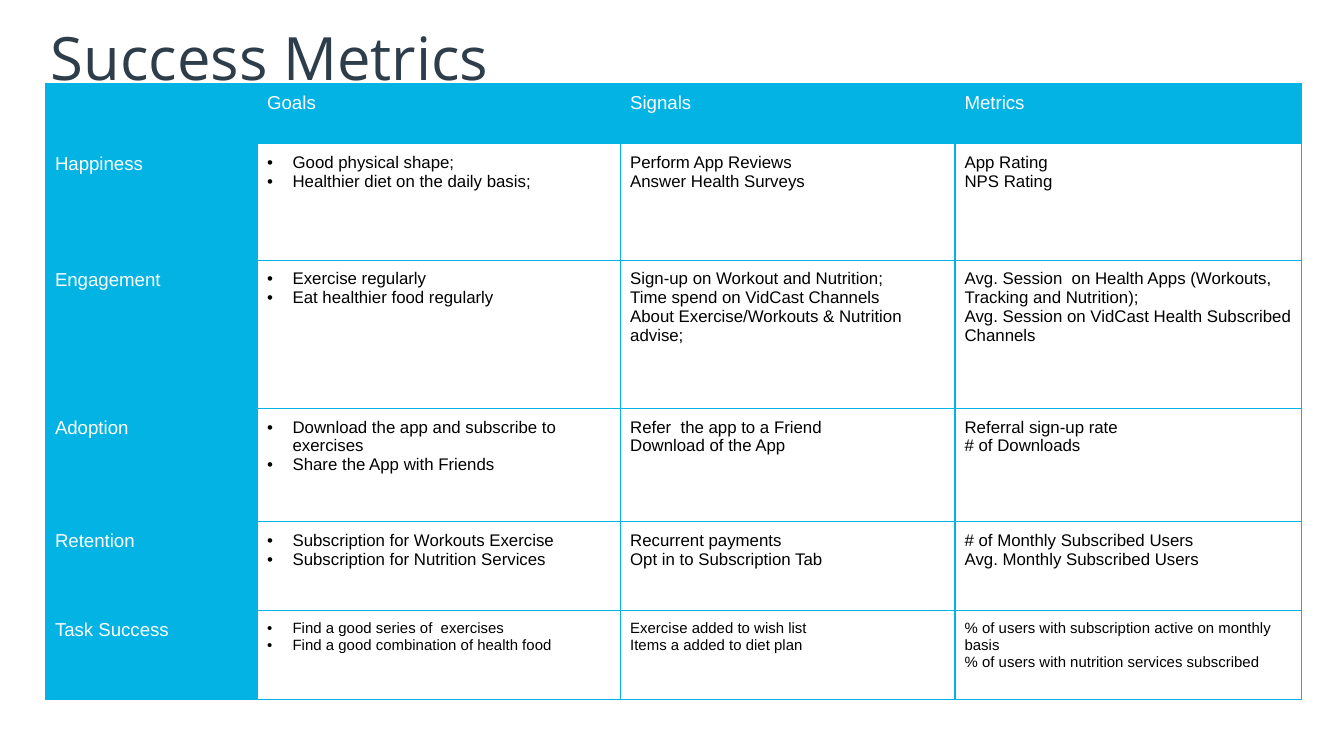
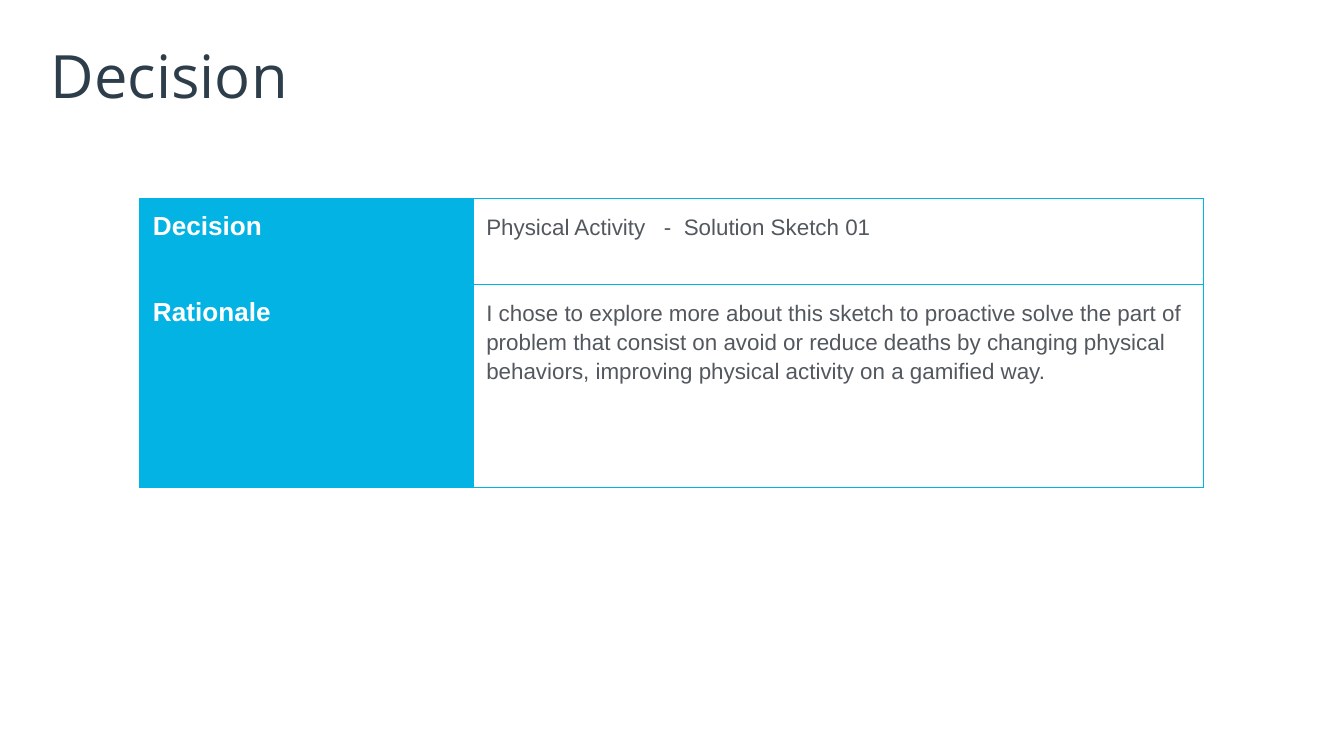
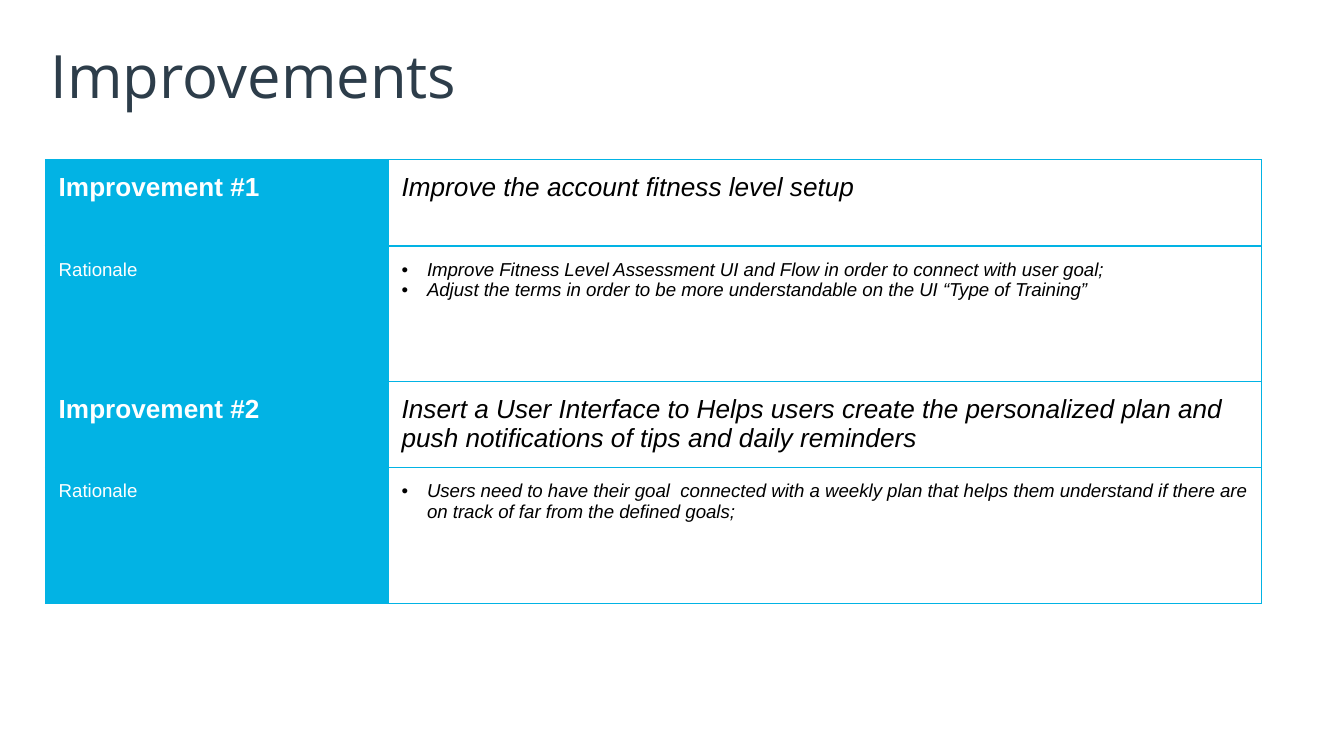
from dataclasses import dataclass, replace

from lxml import etree
from pptx import Presentation
from pptx import util as u
from pptx.dml.color import RGBColor
from pptx.enum import text
from pptx.oxml import ns


@dataclass(frozen=True)
class Style:
    """Describes the look of one kind of cell."""
    size: float
    color: str
    bold: bool = False
    italic: bool = False
    bullets: bool = False
    filled: bool = False
    spaced: bool = False


class Theme:
    """Holds the colours, fonts and type sizes of the deck."""
    accent, ink, white, black, grey = "02B3E4", "2D3D4A", "FFFFFF", "000000", "53585F"
    title_font, body_font = "Open Sans", "Arial"
    title_size, border = 32, 0.75
    label = Style(10, white, filled=True)
    heading = Style(14, white, bold=True, filled=True)
    entry = Style(9, black)
    decision = Style(12, grey, spaced=True)
    headline = Style(14, black, italic=True)
    reason = Style(10, black, italic=True, bullets=True)


def set_font(font, name, size, color, bold=False, italic=False):
    """Format a font."""
    font.name, font.size = name, u.Pt(size)
    font.bold, font.italic = bold, italic
    font.color.rgb = RGBColor.from_string(color)


def add_color(parent, color):
    """Append a colour element."""
    etree.SubElement(parent, ns.qn("a:srgbClr"), val=color)


def add_borders(cell):
    """Draw the accent line on all four sides of a cell."""
    props = cell._tc.get_or_add_tcPr()
    for index, side in enumerate(("lnL", "lnR", "lnT", "lnB")):
        line = etree.Element(ns.qn(f"a:{side}"), w=str(u.Pt(Theme.border)))
        add_color(etree.SubElement(line, ns.qn("a:solidFill")), Theme.accent)
        props.insert(index, line)


def add_bullet(para):
    """Give a paragraph a hanging black bullet."""
    props = para._p.get_or_add_pPr()
    indent = u.Cm(0.48)
    props.set("marL", str(indent))
    props.set("indent", str(-indent))
    add_color(etree.SubElement(props, ns.qn("a:buClr")), Theme.black)
    etree.SubElement(props, ns.qn("a:buFont"), typeface=Theme.body_font)
    etree.SubElement(props, ns.qn("a:buChar"), char="•")


def fill_cell(cell, style, words, margin):
    """Write and format one cell, one paragraph per line."""
    cell.margin_left = cell.margin_right = u.Cm(margin)
    cell.margin_top = cell.margin_bottom = u.Cm(margin)
    if style.filled:
        cell.fill.solid()
        cell.fill.fore_color.rgb = RGBColor.from_string(Theme.accent)
    else:
        cell.fill.background()
    add_borders(cell)
    cell.text_frame.text = words
    for para in cell.text_frame.paragraphs:
        if style.bullets:
            add_bullet(para)
        if style.spaced:
            para.line_spacing, para.space_before = 1.15, u.Pt(7)
        set_font(para.font, Theme.body_font, style.size, style.color,
                 style.bold, style.italic)


def add_grid(page, left, top, widths, heights, rows, margin):
    """Place a table whose cells are (style, words) pairs."""
    table = page.shapes.add_table(
        len(heights), len(widths), u.Cm(left), u.Cm(top),
        u.Cm(sum(widths)), u.Cm(sum(heights))).table
    table.first_row = table.horz_banding = False
    for column, width in zip(table.columns, widths):
        column.width = u.Cm(width)
    for row, height, cells in zip(table.rows, heights, rows):
        row.height = u.Cm(height)
        for cell, (style, words) in zip(row.cells, cells):
            fill_cell(cell, style, words, margin)


def add_page(deck, heading, top=0.61, width=23.67):
    """Add a slide and format its title."""
    page = deck.slides.add_slide(deck.slide_layouts[5])
    title = page.shapes.title
    title.left, title.top = u.Cm(0.86), u.Cm(top)
    title.width, title.height = u.Cm(width), u.Cm(1.6)
    frame = title.text_frame
    frame.margin_left = frame.margin_right = u.Cm(0.1)
    frame.margin_top = frame.margin_bottom = u.Cm(0.1)
    frame.vertical_anchor = text.MSO_ANCHOR.MIDDLE
    frame.auto_size = text.MSO_AUTO_SIZE.NONE
    frame.text = heading
    para = frame.paragraphs[0]
    para.alignment = text.PP_ALIGN.LEFT
    set_font(para.font, Theme.title_font, Theme.title_size, Theme.ink)
    return page


def metrics_page(deck):
    """Build the table of goals, signals and metrics."""
    page = add_page(deck, "Success Metrics", top=0.28, width=10.8)
    topics = [
        ("Happiness", "Good physical shape;\nHealthier diet on the daily basis;",
         "Perform App Reviews\nAnswer Health Surveys", "App Rating\nNPS Rating"),
        ("Engagement", "Exercise regularly\nEat healthier food regularly",
         "Sign-up on Workout and Nutrition;\nTime spend on VidCast Channels\n"
         "About Exercise/Workouts & Nutrition advise;",
         "Avg. Session  on Health Apps (Workouts, Tracking and Nutrition);\n"
         "Avg. Session on VidCast Health Subscribed Channels"),
        ("Adoption",
         "Download the app and subscribe to exercises\nShare the App with Friends",
         "Refer  the app to a Friend\nDownload of the App",
         "Referral sign-up rate\n# of Downloads"),
        ("Retention",
         "Subscription for Workouts Exercise\nSubscription for Nutrition Services",
         "Recurrent payments\nOpt in to Subscription Tab",
         "# of Monthly Subscribed Users\nAvg. Monthly Subscribed Users"),
        ("Task Success",
         "Find a good series of  exercises\nFind a good combination of health food",
         "Exercise added to wish list\nItems a added to diet plan",
         "% of users with subscription active on monthly basis\n"
         "% of users with nutrition services subscribed"),
    ]
    rows = [[(Theme.label, name) for name in ("", "Goals", "Signals", "Metrics")]]
    for topic, goals, signals, metrics in topics:
        entry = replace(Theme.entry, size=8) if topic == "Task Success" else Theme.entry
        rows.append([(Theme.label, topic), (replace(entry, bullets=True), goals),
                     (entry, signals), (entry, metrics)])
    add_grid(page, 0.86, 1.58, (4.01, 6.86, 6.32, 6.55),
             (1.14, 2.2, 2.8, 2.14, 1.68, 1.68), rows, 0.18)


def decision_page(deck):
    """Build the decision and its rationale."""
    page = add_page(deck, "Decision")
    rows = [
        [(Theme.heading, "Decision"),
         (Theme.decision, "Physical Activity   -  Solution Sketch 01")],
        [(Theme.heading, "Rationale"),
         (Theme.decision,
          "I chose to explore more about this sketch to proactive solve the part of "
          "problem that consist on avoid or reduce deaths by changing physical "
          "behaviors, improving physical activity on a gamified way.")],
    ]
    add_grid(page, 2.64, 3.75, (6.3, 13.8), (1.63, 3.84), rows, 0.25)


def improvements_page(deck):
    """Build the improvements, each with its rationale."""
    page = add_page(deck, "Improvements")
    improvements = [
        ("Improve the account fitness level setup",
         "Improve Fitness Level Assessment UI and Flow in order to connect with user goal;\n"
         "Adjust the terms in order to be more understandable on the UI “Type of Training”"),
        ("Insert a User Interface to Helps users create the personalized plan and "
         "push notifications of tips and daily reminders",
         "Users need to have their goal  connected with a weekly plan that helps them "
         "understand if there are on track of far from the defined goals;"),
    ]
    rows = []
    for number, (headline, reason) in enumerate(improvements, 1):
        rows.append([(Theme.heading, f"Improvement #{number}"), (Theme.headline, headline)])
        rows.append([(Theme.label, "Rationale"), (Theme.reason, reason)])
    add_grid(page, 0.86, 3.02, (6.48, 16.5), (1.63, 2.56) * len(improvements), rows, 0.25)


def main():
    """Build and save the deck."""
    deck = Presentation()
    deck.slide_width, deck.slide_height = u.Cm(25.4), u.Cm(14.29)
    metrics_page(deck)
    decision_page(deck)
    improvements_page(deck)
    deck.save("out.pptx")


main()
